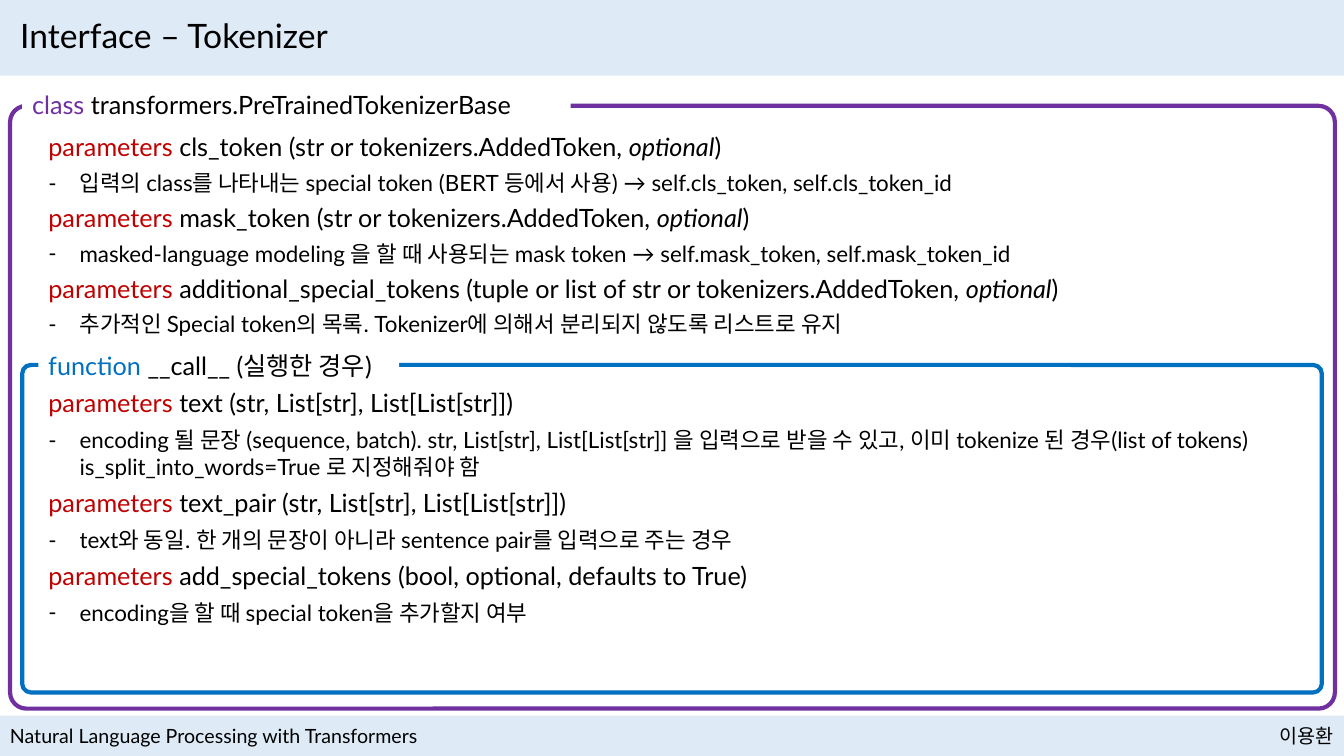
from dataclasses import dataclass

from lxml.etree import SubElement
from pptx import Presentation
from pptx.dml.color import RGBColor
from pptx.enum.shapes import MSO_SHAPE
from pptx.enum.text import MSO_ANCHOR, MSO_AUTO_SIZE, PP_ALIGN
from pptx.oxml.ns import qn
from pptx.util import Inches, Pt

BLACK, WHITE, BAND = "000000", "FFFFFF", "DEEBF7"
PURPLE, BLUE, RED = "7030A0", "0070C0", "C00000"
FONT = "Lato"


@dataclass
class Span:
    text: str
    color: str = BLACK
    italic: bool = False


@dataclass
class Parameter:
    signature: str
    note: str
    optional: bool = False


@dataclass
class Section:
    color: str
    keyword: str
    name: str
    label: tuple[float, float, float, float]
    frame: tuple[float, float, float, float]
    body: tuple[float, float, float, float]
    note_gap: float
    parameter_gap: float
    parameters: list[Parameter]


SECTIONS = [
    Section(
        PURPLE, "class ", "transformers.PreTrainedTokenizerBase",
        (0.22, 0.84, 5.44, 0.4), (0.1, 1.05, 13.14, 5.98), (0.38, 1.25, 12.16, 2.15), 5, 4,
        [
            Parameter("cls_token (str or tokenizers.AddedToken, ",
                      "입력의 class를 나타내는 special token (BERT 등에서 사용) → self.cls_token, self.cls_token_id", True),
            Parameter("mask_token (str or tokenizers.AddedToken, ",
                      "masked-language modeling 을 할 때 사용되는 mask token → self.mask_token, self.mask_token_id", True),
            Parameter("additional_special_tokens (tuple or list of str or tokenizers.AddedToken, ",
                      "추가적인 Special token의 목록. Tokenizer에 의해서 분리되지 않도록 리스트로 유지", True),
        ],
    ),
    Section(
        BLUE, "function ", "__call__ (실행한 경우)",
        (0.38, 3.43, 3.58, 0.4), (0.22, 3.62, 12.89, 3.25), (0.38, 3.79, 12.16, 2.46), 5.5, 5,
        [
            Parameter("text (str, List[str], List[List[str]])",
                      "encoding 될 문장 (sequence, batch). str, List[str], List[List[str]] 을 입력으로 받을 수 있고, "
                      "이미 tokenize 된 경우(list of tokens) is_split_into_words=True 로 지정해줘야 함"),
            Parameter("text_pair (str, List[str], List[List[str]])",
                      "text와 동일. 한 개의 문장이 아니라 sentence pair를 입력으로 주는 경우"),
            Parameter("add_special_tokens (bool, optional, defaults to True)",
                      "encoding을 할 때 special token을 추가할지 여부"),
        ],
    ),
]


def rgb(color: str) -> RGBColor:
    return RGBColor.from_string(color)


def apply(target, values: dict) -> None:
    for name, value in values.items():
        setattr(target, name, value)


def place(box, area: tuple[float, float, float, float]) -> None:
    apply(box, dict(zip(("left", "top", "width", "height"), map(Inches, area))))


def write(para, spans: list[Span], size: float, **layout) -> None:
    apply(para, {"alignment": PP_ALIGN.LEFT, "space_before": Pt(0), **layout})
    for span in spans:
        run = para.add_run()
        run.text = span.text
        apply(run.font, {"name": FONT, "size": Pt(size), "bold": False, "italic": span.italic})
        run.font.color.rgb = rgb(span.color)


def set_bullet(para, symbol: str | None) -> None:
    properties = para._p.get_or_add_pPr()
    hanging = Inches(0.31) if symbol else 0
    properties.set("marL", str(hanging))
    properties.set("indent", str(-hanging))
    if symbol:
        SubElement(properties, qn("a:buFont")).set("typeface", FONT)
        SubElement(properties, qn("a:buChar")).set("char", symbol)
    else:
        SubElement(properties, qn("a:buNone"))


def prepare(box, anchor=MSO_ANCHOR.TOP):
    frame = box.text_frame
    apply(frame, {"word_wrap": True, "auto_size": MSO_AUTO_SIZE.NONE, "vertical_anchor": anchor})
    return frame.paragraphs[0]


def add_panel(page, area, kind=MSO_SHAPE.RECTANGLE, fill: str | None = None, line: str | None = None):
    panel = page.shapes.add_shape(kind, *map(Inches, area))
    panel.shadow.inherit = False
    if fill:
        panel.fill.solid()
        panel.fill.fore_color.rgb = rgb(fill)
    else:
        panel.fill.background()
    if line:
        panel.line.color.rgb = rgb(line)
        panel.line.width = Pt(3)
    else:
        panel.line.fill.background()
    return panel


def add_footer(page, area, text: str, alignment) -> None:
    box = page.shapes.add_textbox(*map(Inches, area))
    write(prepare(box), [Span(text)], 14, alignment=alignment)


def add_section(page, section: Section, body) -> None:
    frame = add_panel(page, section.frame, MSO_SHAPE.ROUNDED_RECTANGLE, line=section.color)
    frame.adjustments[0] = 0.027
    label = add_panel(page, section.label, fill=WHITE)
    write(prepare(label), [Span(section.keyword, section.color), Span(section.name)], 18)

    place(body, section.body)
    heading = prepare(body)
    for index, parameter in enumerate(section.parameters):
        if index:
            heading = body.text_frame.add_paragraph()
        spans = [Span("parameters ", RED), Span(parameter.signature)]
        if parameter.optional:
            spans += [Span("optional", italic=True), Span(")")]
        set_bullet(heading, None)
        write(heading, spans, 18, line_spacing=Pt(22),
              space_before=Pt(section.parameter_gap if index else 0))
        note = body.text_frame.add_paragraph()
        set_bullet(note, "-")
        write(note, [Span(parameter.note)], 16, line_spacing=Pt(19.5), space_before=Pt(section.note_gap))
    page.shapes._spTree.append(body._element)


def main() -> None:
    deck = Presentation()
    apply(deck, {"slide_width": Inches(13.33), "slide_height": Inches(7.5)})
    page = deck.slides.add_slide(deck.slide_layouts[3])
    title, *bodies = page.placeholders

    for area in ((0, 0, 13.33, 0.75), (0, 7.1, 13.33, 0.4)):
        add_panel(page, area, fill=BAND)
    add_footer(page, (0, 7.13, 4.5, 0.34), "Natural Language Processing with Transformers", PP_ALIGN.LEFT)
    add_footer(page, (12.42, 7.13, 0.91, 0.34), "이용환", PP_ALIGN.RIGHT)

    place(title, (0.1, 0.1, 13.14, 0.55))
    write(prepare(title, MSO_ANCHOR.MIDDLE), [Span("Interface – Tokenizer")], 24, line_spacing=0.9)
    page.shapes._spTree.append(title._element)

    for section, body in zip(SECTIONS, bodies):
        add_section(page, section, body)
    deck.save("out.pptx")


if __name__ == "__main__":
    main()
